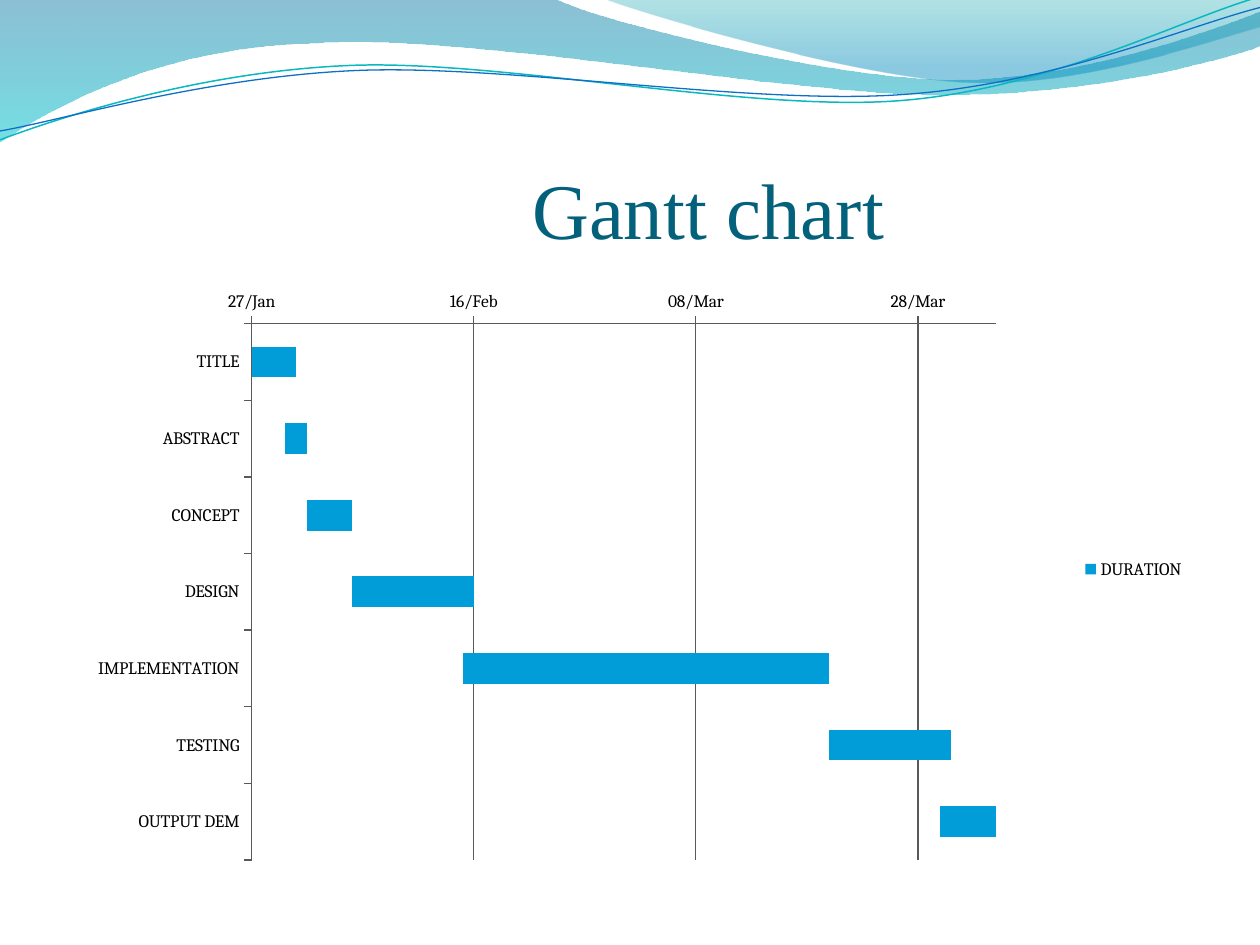
from math import cos, radians, sin
from lxml import etree
from pptx import Presentation
from pptx.chart.data import CategoryChartData
from pptx.dml.color import RGBColor
from pptx.enum.chart import XL_CHART_TYPE, XL_LEGEND_POSITION, XL_TICK_MARK
from pptx.enum.text import MSO_ANCHOR, MSO_AUTO_SIZE, PP_ALIGN
from pptx.oxml import parse_xml
from pptx.oxml.ns import qn
from pptx.util import Cm, Pt

STACKED = XL_CHART_TYPE.BAR_STACKED
RIGHT = XL_LEGEND_POSITION.RIGHT
OUT = XL_TICK_MARK.OUTSIDE
NONE = XL_TICK_MARK.NONE
CENTER = PP_ALIGN.CENTER
BOTTOM = MSO_ANCHOR.BOTTOM
NO_FIT = MSO_AUTO_SIZE.NONE
CHART_NS = "http://schemas.openxmlformats.org/drawingml/2006/chart"
GREY = "595959"
TILT = -2.7  # degrees, for the thin curves

# Wave outlines in inches: a pair is a corner, six numbers are a curve
BAND = [(0, 0), (4.4, -0.01),
        (4.76, 0.17, 6.64, 0.63, 7.58, 0.63),
        (8.53, 0.63, 9.58, 0.26, 10, 0.09), (10.01, 0.36),
        (9.83, 0.44, 8.7, 0.76, 7.46, 0.75),
        (6.22, 0.75, 3.82, 0.28, 2.57, 0.34),
        (1.29, 0.36, 0.46, 0.83, -0.01, 1.13)]
CREST = [(4.79, -0.01),
         (5.09, 0.11, 6.82, 0.62, 7.69, 0.65),
         (8.56, 0.69, 9.61, 0.32, 10, 0.21), (10, 0)]
TEAL = [(0, 1.11),
        (0.48, 0.93, 1.58, 0.57, 2.77, 0.52),
        (3.95, 0.47, 5.93, 0.89, 7.13, 0.8),
        (8.33, 0.71, 9.38, 0.15, 9.98, -0.02)]
BLUE = [(0, 1.04),
        (0.47, 0.96, 1.64, 0.61, 2.83, 0.56),
        (4.03, 0.51, 5.97, 0.84, 7.17, 0.75),
        (8.36, 0.67, 9.41, 0.21, 10, 0.06)]

# Task, start, days, end; dates are serial day numbers
TASKS = [("TITLE", 42762, 4, 42765),
         ("ABSTRACT", 42765, 2, 42766),
         ("CONCEPT", 42767, 4, 42770),
         ("DESIGN", 42771, 11, 42781),
         ("IMPLEMENTATION", 42781, 33, 42814),
         ("TESTING", 42814, 11, 42824),
         ("OUTPUT DEM", 42824, 5, 42829)]


def color(code):
    return RGBColor.from_string(code)


def place(part, tilt, mid):
    """Points of one part in slide units, turned back by the tilt."""
    s, c = sin(radians(-tilt)), cos(radians(-tilt))
    dots = []
    for x, y in zip(part[::2], part[1::2]):
        dx, dy = x - mid[0], y - mid[1]
        dots.append((Cm(2.54 * (mid[0] + dx * c - dy * s)),
                     Cm(2.54 * (mid[1] + dx * s + dy * c))))
    return dots


def add_wave(slide, path, close, tilt=0, mid=(0, 0)):
    parts = [place(part, tilt, mid) for part in path]
    pen = slide.shapes.build_freeform(*parts[0][0])
    pen.add_line_segments([part[-1] for part in parts[1:]], close=close)
    wave = pen.convert_to_shape()
    # Bend the lines that have control points
    lines = list(wave._element.spPr.iter(qn("a:lnTo")))
    for line, part in zip(lines, parts[1:]):
        if len(part) == 3:
            line.tag = qn("a:cubicBezTo")
            for child in list(line):
                line.remove(child)
            for x, y in part:
                dot = etree.SubElement(line, qn("a:pt"))
                dot.set("x", str(x - wave.left))
                dot.set("y", str(y - wave.top))
    wave.rotation = tilt
    wave.shadow.inherit = False
    return wave


def add_area(slide, path, stops):
    """Filled wave, shaded from top to bottom."""
    wave = add_wave(slide, path, True)
    wave.line.fill.background()
    wave.fill.gradient()
    wave.fill.gradient_angle = 270
    for stop, (spot, code, alpha) in zip(wave.fill.gradient_stops, stops):
        stop.position = spot
        stop.color.rgb = color(code)
    tints = wave._element.spPr.iter(qn("a:srgbClr"))
    for tint, (spot, code, alpha) in zip(tints, stops):
        etree.SubElement(tint, qn("a:alpha")).set("val", str(alpha * 1000))


def add_curve(slide, path, mid, code, width):
    wave = add_wave(slide, path, False, TILT, mid)
    wave.fill.background()
    wave.line.color.rgb = color(code)
    wave.line.width = Pt(width)


def set_title(slide, text):
    title = slide.shapes.title
    title.left, title.top = Cm(1.27), Cm(1.96)
    title.width, title.height = Cm(22.86), Cm(3.18)
    frame = title.text_frame
    frame.auto_size = NO_FIT
    frame.vertical_anchor = BOTTOM
    # The left inset moves the centred words to the right
    frame.margin_left, frame.margin_right = Cm(3.15), Cm(0)
    frame.margin_top, frame.margin_bottom = Cm(0.13), Cm(0)
    para = frame.paragraphs[0]
    para.alignment = CENTER
    run = para.add_run()
    run.text = text
    run.font.name = "Times New Roman"
    run.font.size = Pt(45)
    run.font.color.rgb = color("04617B")
    # Keep the title in front of the waves
    slide.shapes._spTree.append(title._element)


def style_axis(axis):
    axis.major_tick_mark = OUT
    axis.minor_tick_mark = NONE
    axis.format.line.color.rgb = color(GREY)
    axis.format.line.width = Pt(0.75)


def set_plot(chart, x, y, w, h):
    """Fix the inner plot area, as shares of the chart."""
    area = chart._chartSpace.chart.plotArea
    for old in area.findall(qn("c:layout")):
        area.remove(old)
    modes = [("layoutTarget", "inner"), ("xMode", "edge"), ("yMode", "edge"),
             ("x", x), ("y", y), ("w", w), ("h", h)]
    tags = "".join(f'<c:{tag} val="{val}"/>' for tag, val in modes)
    area.insert(0, parse_xml(f'<c:layout xmlns:c="{CHART_NS}">'
                             f'<c:manualLayout>{tags}</c:manualLayout></c:layout>'))


def set_legend(chart, hidden):
    chart.has_legend = True
    legend = chart.legend
    legend.position = RIGHT
    legend.include_in_layout = False
    spot = legend._element.find(qn("c:legendPos"))
    for index in reversed(hidden):
        spot.addnext(parse_xml(f'<c:legendEntry xmlns:c="{CHART_NS}">'
                               f'<c:idx val="{index}"/><c:delete val="1"/>'
                               '</c:legendEntry>'))


def add_gantt(slide):
    names, starts, days, ends = zip(*TASKS)
    data = CategoryChartData()
    data.categories = names
    data.add_series("Series 1", starts)
    data.add_series("DURATION", days)
    data.add_series("Series 3", ends)
    chart = slide.shapes.add_chart(STACKED, Cm(1.28), Cm(5.38), Cm(22.86),
                                   Cm(12.19), data).chart
    chart.has_title = False
    chart.font.name = "Cambria"
    chart.font.size = Pt(10)
    chart.font.color.rgb = color("000000")
    # Only the duration bars are filled
    plot = chart.plots[0]
    plot.gap_width, plot.overlap = 150, 100
    plot.vary_by_categories = False
    for series in plot.series:
        series.format.fill.background()
    fill = plot.series[1].format.fill
    fill.solid()
    fill.fore_color.rgb = color("009DD9")
    # Tasks run downward, dates run along the top
    tasks, dates = chart.category_axis, chart.value_axis
    style_axis(tasks)
    style_axis(dates)
    tasks.reverse_order = True
    dates.minimum_scale, dates.maximum_scale = 42762, 42829
    dates.major_unit = 20
    dates.tick_labels.number_format = "dd/mmm"
    dates.tick_labels.number_format_is_linked = False
    dates.has_major_gridlines = True
    dates.major_gridlines.format.line.color.rgb = color(GREY)
    dates.major_gridlines.format.line.width = Pt(0.75)
    set_plot(chart, 0.166, 0.094, 0.656, 0.887)
    set_legend(chart, [0, 2])


def main():
    deck = Presentation()
    deck.slide_width, deck.slide_height = Cm(25.4), Cm(19.05)
    slide = deck.slides.add_slide(deck.slide_layouts[5])
    # Waves along the top
    add_area(slide, BAND, [(0, "0074A1", 45), (1, "00C6CF", 55)])
    add_area(slide, CREST, [(0, "00A1A9", 30), (0.8, "008BBF", 45)])
    add_curve(slide, TEAL, (4.99, 0.57), "0AB8BF", 0.85)
    add_curve(slide, BLUE, (5, 0.59), "0F6FC6", 0.75)
    # Content
    set_title(slide, "Gantt chart")
    add_gantt(slide)
    deck.save("out.pptx")


if __name__ == "__main__":
    main()
